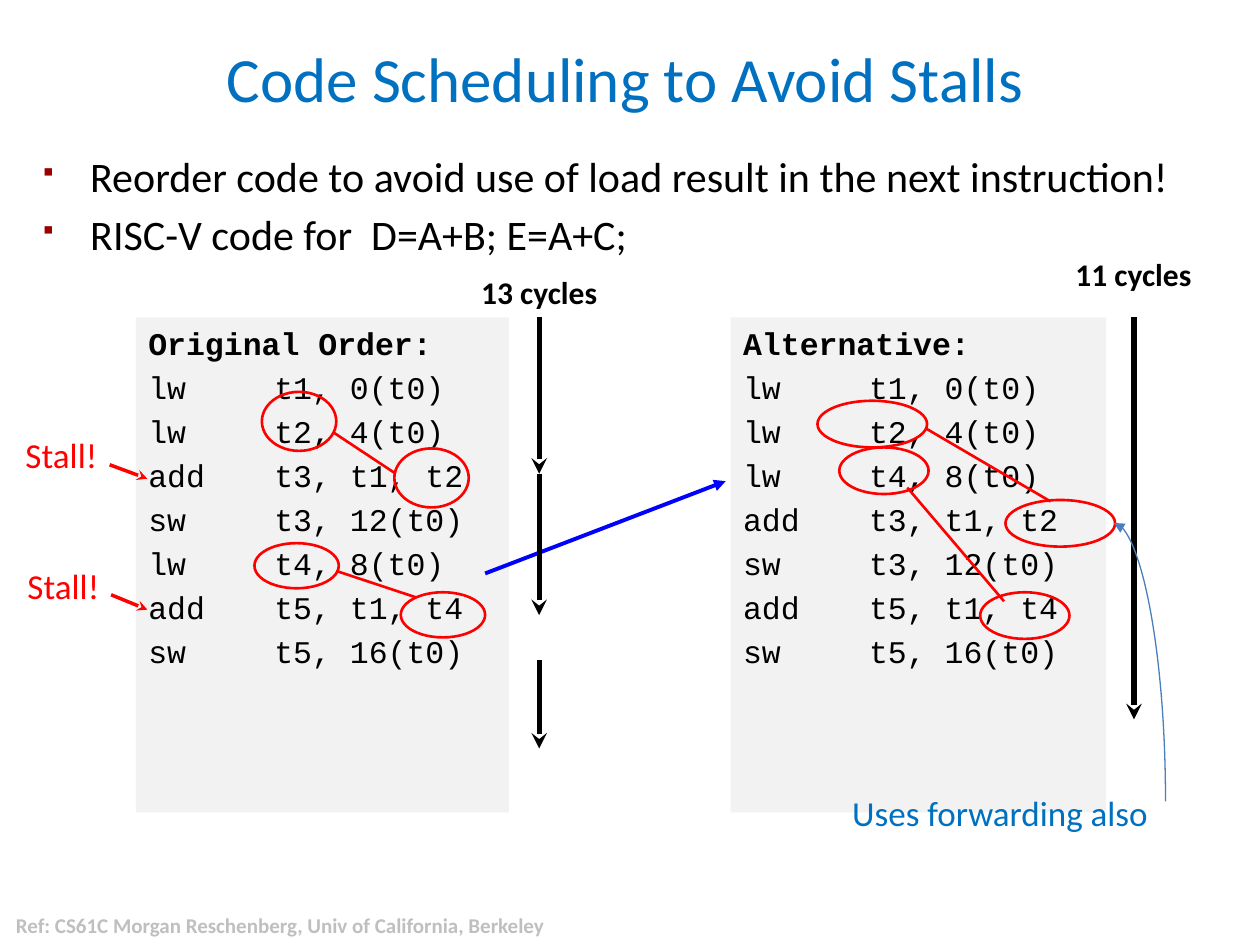
"""Build a slide on reordering RISC-V code to avoid load stalls."""
from lxml import etree
from pptx import Presentation
from pptx.dml.color import RGBColor
from pptx.enum import shapes as kinds, text as typo
from pptx.oxml.ns import qn
from pptx.util import Cm, Pt

THEME = {
    "sans": "Calibri", "mono": "Courier New",
    "blue": "0070C0", "black": "000000", "red": "FF0000", "panel": "F2F2F2",
    "move": "0000FF", "bullet": "990000", "curve": "4B7EBC", "grey": "BFBFBF",
    "title": 36, "body": 24, "note": 20, "code": 18, "reference": 12,
}
LEFT, CENTER, RIGHT = typo.PP_ALIGN.LEFT, typo.PP_ALIGN.CENTER, typo.PP_ALIGN.RIGHT

TITLE = "Code Scheduling to Avoid Stalls"
POINTS = [
    "Reorder code to avoid use of load result in the next instruction!",
    "RISC-V code for  D=A+B; E=A+C;",
]
LISTINGS = [
    ((2.74, 6.4, 7.52, 9.98), "Original Order:", [
        "lw\tt1, 0(t0)", "lw\tt2, 4(t0)", "add\tt3, t1, t2", "sw\tt3, 12(t0)",
        "lw\tt4, 8(t0)", "add\tt5, t1, t4", "sw\tt5, 16(t0)"]),
    ((14.73, 6.4, 7.57, 9.98), "Alternative:", [
        "lw\tt1, 0(t0)", "lw\tt2, 4(t0)", "lw\tt4, 8(t0)", "add\tt3, t1, t2",
        "sw\tt3, 12(t0)", "add\tt5, t1, t4", "sw\tt5, 16(t0)"]),
]
MOVED_LOAD = (9.78, 11.56, 14.63, 9.7)
DEPENDENCIES = [
    ((1.5, 1.19), [(5.28, 7.9), (7.95, 9.04)], (6.71, 8.71, 7.95, 9.53)),
    ((1.7, 0.91), [(5.13, 10.95), (8.08, 11.94)], (6.78, 11.51, 8.38, 12.04)),
    ((2.21, 0.94), [(16.48, 8.08), (20.27, 10.08)], (18.67, 8.64, 21.18, 10.11)),
    ((1.8, 0.94), [(16.92, 9.02), (19.76, 11.94)], (18.29, 9.83, 20.24, 12.12)),
]
STALLS = [
    ((0.13, 8.61, 2.08, 1.47), (2.21, 9.37, 2.97, 9.65)),
    ((0.17, 11.25, 2.08, 1.47), (2.24, 11.99, 2.97, 12.29)),
]
TIMELINES = [
    ("13 cycles", (9.45, 5.38, 2.9, 1.37), 10.87, [(6.4, 9.55), (9.55, 12.4), (13.31, 15.09)]),
    ("11 cycles", (21.43, 5.01, 2.9, 1.37), 22.86, [(6.4, 14.5)]),
]
REFERENCE = "Ref: CS61C Morgan Reschenberg, Univ of California, Berkeley"
FORWARDING = "Uses forwarding also"


def color(name):
    return RGBColor.from_string(THEME[name])


def style(paragraph, size, ink, face="sans", bold=False, align=LEFT):
    paragraph.alignment = align
    font = paragraph.font
    font.name, font.size, font.bold = THEME[face], Pt(THEME[size]), bold
    font.color.rgb = color(ink)


def write(frame, lines):
    frame.word_wrap = True
    frame.text = lines[0]
    for line in lines[1:]:
        frame.add_paragraph().text = line
    return frame.paragraphs


def label(slide, box, line, size, ink, **options):
    frame = slide.shapes.add_textbox(*map(Cm, box)).text_frame
    style(write(frame, [line])[0], size, ink, **options)
    return frame


def add_bullet(paragraph):
    props = paragraph._p.get_or_add_pPr()
    props.set("marL", str(Cm(0.96)))
    props.set("indent", str(Cm(-0.96)))
    tint = etree.SubElement(props, qn("a:buClr"))
    etree.SubElement(tint, qn("a:srgbClr"), val=THEME["bullet"])
    etree.SubElement(props, qn("a:buSzPct"), val="60000")
    etree.SubElement(props, qn("a:buFont"), typeface="Wingdings", charset="2")
    etree.SubElement(props, qn("a:buChar"), char="§")


def add_tab_stop(paragraph, position):
    stops = etree.SubElement(paragraph._p.get_or_add_pPr(), qn("a:tabLst"))
    etree.SubElement(stops, qn("a:tab"), pos=str(Cm(position)), algn="l")


def connect(slide, ends, ink, width, head=None, kind=kinds.MSO_CONNECTOR.STRAIGHT):
    connector = slide.shapes.add_connector(kind, *map(Cm, ends))
    connector.line.color.rgb = color(ink)
    connector.line.width = Pt(width)
    if head:
        etree.SubElement(connector.line._get_or_add_ln(), qn("a:tailEnd"), type=head)
    etree.SubElement(connector._element.spPr, qn("a:effectLst"))
    return connector


def add_preset(slide, preset, box):
    shape = slide.shapes.add_shape(preset, *map(Cm, box))
    shape.shadow.inherit = False
    return shape


def add_heading(slide):
    title = slide.shapes.title
    title.left, title.top, title.width, title.height = map(Cm, (0.61, 0.41, 23.98, 2.29))
    style(write(title.text_frame, [TITLE])[0], "title", "blue", align=CENTER)
    body = slide.shapes.add_textbox(*map(Cm, (0.61, 2.9, 23.98, 13.26)))
    for point in write(body.text_frame, POINTS):
        point.space_before = Pt(4.8)
        add_bullet(point)
        style(point, "body", "black")


def add_listing(slide, box, heading, code):
    panel = add_preset(slide, kinds.MSO_SHAPE.RECTANGLE, box)
    panel.fill.solid()
    panel.fill.fore_color.rgb = color("panel")
    panel.line.fill.background()
    panel.text_frame.vertical_anchor = typo.MSO_ANCHOR.TOP
    for row, paragraph in enumerate(write(panel.text_frame, [heading, *code])):
        paragraph.space_before = Pt(3.6 if row else 0)
        add_tab_stop(paragraph, 2.54)
        style(paragraph, "code", "black", face="mono", bold=row == 0)


def add_dependency(slide, size, corners, link):
    for corner in corners:
        ring = add_preset(slide, kinds.MSO_SHAPE.OVAL, corner + size)
        ring.fill.background()
        ring.line.color.rgb = color("red")
        ring.line.width = Pt(1.5)
    connect(slide, link, "red", 1.5)


def add_forwarding(slide):
    label(slide, (16.93, 15.83, 7.72, 1.17), FORWARDING, "note", "blue")
    curve = connect(slide, (20.17, 13.87, 25.78, 12.83), "curve", 0.75, "triangle",
                    kinds.MSO_CONNECTOR.CURVE)
    props = curve._element.spPr
    props.find(qn("a:xfrm")).set("rot", str(270 * 60000))
    props.find(qn("a:prstGeom")).set("prst", "curvedConnector2")


def main():
    deck = Presentation()
    deck.slide_width, deck.slide_height = Cm(25.4), Cm(19.05)
    slide = deck.slides.add_slide(deck.slide_layouts[5])
    add_heading(slide)
    for listing in LISTINGS:
        add_listing(slide, *listing)
    connect(slide, MOVED_LOAD, "move", 2.25, "triangle")
    for dependency in DEPENDENCIES:
        add_dependency(slide, *dependency)
    for box, arrow in STALLS:
        label(slide, box, "Stall!", "note", "red", align=RIGHT)
        connect(slide, arrow, "red", 2, "stealth")
    for cycles, box, x, spans in TIMELINES:
        for top, bottom in spans:
            connect(slide, (x, top, x, bottom), "black", 3, "stealth")
        label(slide, box, cycles, "code", "black", bold=True)
    reference = label(slide, (0, 18.15, 11.3, 1.02), REFERENCE, "reference", "grey",
                      bold=True, align=CENTER)
    reference.vertical_anchor = typo.MSO_ANCHOR.MIDDLE
    add_forwarding(slide)
    deck.save("out.pptx")


if __name__ == "__main__":
    main()
